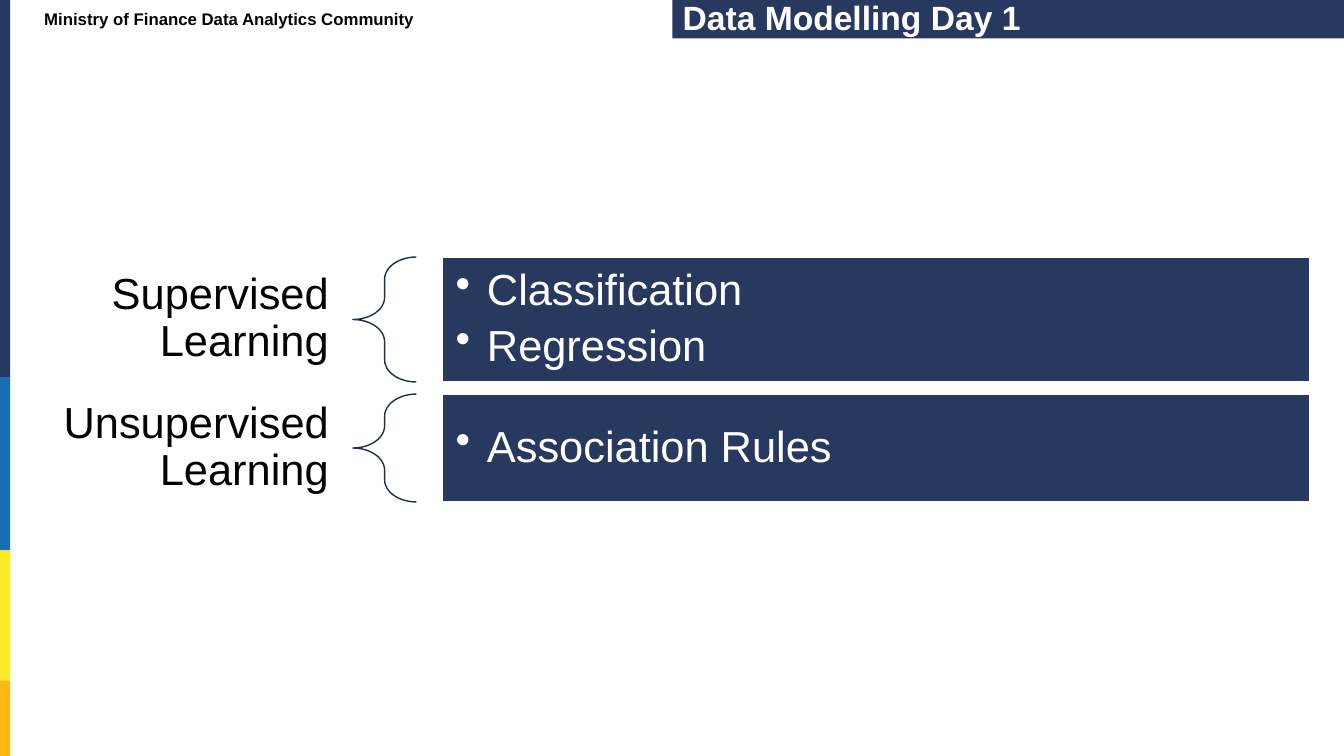
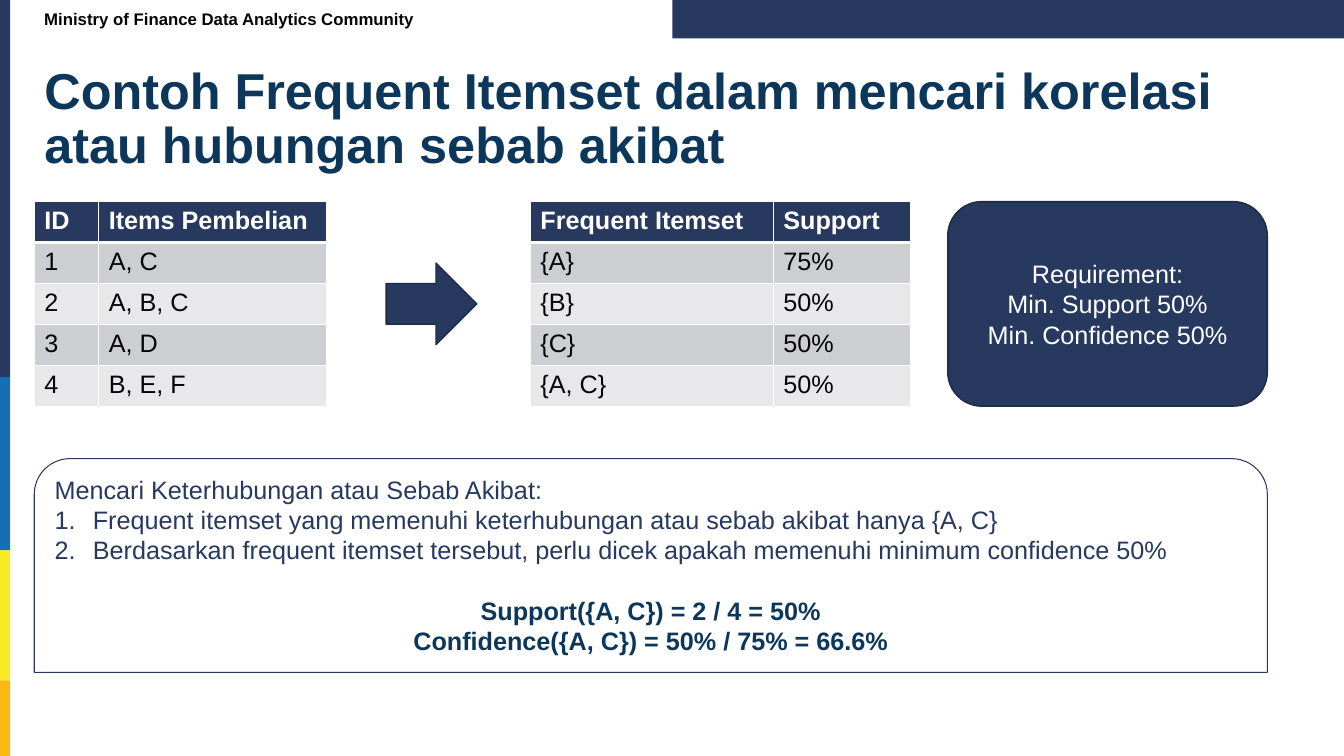
from dataclasses import dataclass
from typing import Optional

from lxml.etree import SubElement
from pptx import Presentation
from pptx.dml.color import RGBColor
from pptx.enum.shapes import MSO_SHAPE
from pptx.enum.text import MSO_ANCHOR, MSO_AUTO_SIZE, PP_ALIGN
from pptx.oxml.ns import qn
from pptx.util import Emu, Pt

EMU_PER_PX = 9144
FONT = "Arial"
COLORS = {
    "navy": "27395F",
    "blue": "176EB4",
    "yellow": "F7EB25",
    "orange": "FCB813",
    "white": "FFFFFF",
    "black": "040404",
    "heading": "0C375A",
    "outline": "1D2A46",
    "brace": "1F2E4C",
    "dark_row": "CDCED2",
    "light_row": "E8E8EA",
}
COMMUNITY = "Ministry of Finance Data Analytics Community"
BULLET = ("buChar", "char", "•")
NUMBER = ("buAutoNum", "type", "arabicPeriod")


@dataclass(frozen=True)
class Box:
    left: int
    top: int
    width: int
    height: int

    def emu(self) -> tuple:
        return tuple(px(n) for n in (self.left, self.top, self.width, self.height))


@dataclass(frozen=True)
class Style:
    size: int
    color: str
    bold: bool = False
    align: PP_ALIGN = PP_ALIGN.LEFT
    line_spacing: Optional[float] = None
    before: int = 0
    after: int = 0
    marker: Optional[tuple] = None
    indent: int = 0


@dataclass(frozen=True)
class Line:
    text: str
    style: Style


@dataclass(frozen=True)
class Band:
    color: str
    box: Box


@dataclass(frozen=True)
class Branch:
    label: str
    items: tuple
    label_top: int
    top: int
    height: int


@dataclass(frozen=True)
class Grid:
    box: Box
    columns: tuple
    rows: tuple


BANDS = (
    Band("navy", Box(0, 0, 10, 374)),
    Band("blue", Box(0, 374, 10, 172)),
    Band("yellow", Box(0, 546, 10, 129)),
    Band("orange", Box(0, 675, 10, 75)),
    Band("navy", Box(667, 0, 666, 38)),
)
BRANCHES = (
    Branch("Supervised Learning", ("Classification", "Regression"), 263, 255, 124),
    Branch("Unsupervised Learning", ("Association Rules",), 391, 391, 107),
)
GRIDS = (
    Grid(Box(34, 200, 290, 203), (64, 226), (
        ("ID", "Items Pembelian"),
        ("1", "A, C"),
        ("2", "A, B, C"),
        ("3", "A, D"),
        ("4", "B, E, F"),
    )),
    Grid(Box(526, 200, 377, 203), (241, 136), (
        ("Frequent Itemset", "Support"),
        ("{A}", "75%"),
        ("{B}", "50%"),
        ("{C}", "50%"),
        ("{A, C}", "50%"),
    )),
)

BAND_TITLE = Style(24, "white", True, line_spacing=0.9)
PAGE_TITLE = Style(36, "heading", True, line_spacing=0.9)
COMMUNITY_STYLE = Style(12, "black", True)
BRANCH_LABEL = Style(31, "black", align=PP_ALIGN.RIGHT, line_spacing=0.9)
BRANCH_ITEM = Style(31, "white", line_spacing=0.9, after=6, marker=BULLET, indent=31)
HEADER_CELL = Style(18, "white", True)
BODY_CELL = Style(18, "black")
REQUIREMENT = Style(18, "white", align=PP_ALIGN.CENTER)
NOTE = Style(18, "navy")
NOTE_STEP = Style(18, "navy", marker=NUMBER, indent=38)
RESULT_FIRST = Style(18, "heading", True, PP_ALIGN.CENTER, before=22)
RESULT = Style(18, "heading", True, PP_ALIGN.CENTER)


def px(length: int) -> Emu:
    return Emu(length * EMU_PER_PX)


def rgb(name: str) -> RGBColor:
    return RGBColor.from_string(COLORS[name])


def format_paragraph(para, style: Style) -> None:
    if style.marker:
        tag, attribute, value = style.marker
        properties = para._p.get_or_add_pPr()
        properties.set("marL", str(px(style.indent)))
        properties.set("indent", str(-px(style.indent)))
        SubElement(properties, qn(f"a:{tag}")).set(attribute, value)
    para.alignment = style.align
    if style.line_spacing:
        para.line_spacing = style.line_spacing
    para.space_before = Pt(style.before)
    para.space_after = Pt(style.after)
    para.font.name = FONT
    para.font.size = Pt(style.size)
    para.font.bold = style.bold
    para.font.color.rgb = rgb(style.color)


def write(frame, lines: list[Line], anchor=MSO_ANCHOR.MIDDLE, inset: tuple = (10, 5)) -> None:
    frame.word_wrap = True
    frame.auto_size = MSO_AUTO_SIZE.NONE
    frame.vertical_anchor = anchor
    frame.margin_left = frame.margin_right = px(inset[0])
    frame.margin_top = frame.margin_bottom = px(inset[1])
    for index, line in enumerate(lines):
        para = frame.paragraphs[0] if index == 0 else frame.add_paragraph()
        para.text = line.text
        format_paragraph(para, line.style)


def add_text(page, box: Box, line: Line, inset: tuple = (10, 5)) -> None:
    write(page.shapes.add_textbox(*box.emu()).text_frame, [line], inset=inset)


def add_figure(page, kind, box: Box, fill: Optional[str] = None,
               outline: Optional[str] = None, weight: float = 1):
    figure = page.shapes.add_shape(kind, *box.emu())
    figure.shadow.inherit = False
    if fill:
        figure.fill.solid()
        figure.fill.fore_color.rgb = rgb(fill)
    else:
        figure.fill.background()
    if outline:
        figure.line.color.rgb = rgb(outline)
        figure.line.width = Pt(weight)
    else:
        figure.line.fill.background()
    return figure


def move_bands_to_layout(page, layout) -> None:
    for number, band in enumerate(BANDS, start=101):
        element = add_figure(page, MSO_SHAPE.RECTANGLE, band.box, band.color).element
        element.nvSpPr.cNvPr.set("id", str(number))
        layout.shapes.element.append(element)


def start_page(deck, layout, title: Line, title_box: Box):
    page = deck.slides.add_slide(layout)
    heading = page.shapes.title
    heading.left, heading.top, heading.width, heading.height = title_box.emu()
    write(heading.text_frame, [title])
    add_text(page, Box(34, 7, 453, 23), Line(COMMUNITY, COMMUNITY_STYLE))
    return page


def add_branch(page, branch: Branch) -> None:
    add_text(page, Box(34, branch.label_top, 316, 107),
             Line(branch.label, BRANCH_LABEL), inset=(24, 9))
    brace = add_figure(page, MSO_SHAPE.LEFT_BRACE,
                       Box(350, branch.top, 63, branch.height), outline="brace")
    brace.adjustments[0] = 0.35
    panel = add_figure(page, MSO_SHAPE.RECTANGLE,
                       Box(439, branch.top, 860, branch.height), "navy", "white")
    write(panel.text_frame, [Line(item, BRANCH_ITEM) for item in branch.items], inset=(13, 13))


def set_borders(cell, top: int, bottom: int) -> None:
    properties = cell._tc.get_or_add_tcPr()
    for side, weight in {"L": 1, "R": 1, "T": top, "B": bottom}.items():
        border = SubElement(properties, qn(f"a:ln{side}"), w=str(Pt(weight)))
        fill = SubElement(border, qn("a:solidFill"))
        SubElement(fill, qn("a:srgbClr"), val=COLORS["white"])


def add_grid(page, grid: Grid) -> None:
    table = page.shapes.add_table(len(grid.rows), len(grid.columns), *grid.box.emu()).table
    table.horz_banding = False
    for column, width in zip(table.columns, grid.columns):
        column.width = px(width)
    for row_index, values in enumerate(grid.rows):
        is_header = row_index == 0
        fill = "navy" if is_header else ("light_row", "dark_row")[row_index % 2]
        for column_index, value in enumerate(values):
            cell = table.cell(row_index, column_index)
            set_borders(cell, 3 if row_index == 1 else 1, 3 if is_header else 1)
            cell.fill.solid()
            cell.fill.fore_color.rgb = rgb(fill)
            para = cell.text_frame.paragraphs[0]
            para.text = value
            format_paragraph(para, HEADER_CELL if is_header else BODY_CELL)


def build_learning_types(deck, layout) -> None:
    page = start_page(deck, layout, Line("Data Modelling Day 1", BAND_TITLE),
                      Box(667, 0, 666, 38))
    move_bands_to_layout(page, layout)
    for branch in BRANCHES:
        add_branch(page, branch)


def build_itemset_example(deck, layout) -> None:
    title = "Contoh Frequent Itemset dalam mencari korelasi atau hubungan sebab akibat"
    page = start_page(deck, layout, Line(title, PAGE_TITLE), Box(34, 53, 1265, 132))
    for grid in GRIDS:
        add_grid(page, grid)
    add_figure(page, MSO_SHAPE.RIGHT_ARROW, Box(383, 261, 90, 81), "navy", "outline")
    requirement = add_figure(page, MSO_SHAPE.ROUNDED_RECTANGLE, Box(940, 200, 317, 203),
                             "navy", "outline")
    write(requirement.text_frame, [
        Line(text, REQUIREMENT)
        for text in ("Requirement:", "Min. Support 50%", "Min. Confidence 50%")
    ])
    note = add_figure(page, MSO_SHAPE.ROUND_2_SAME_RECTANGLE, Box(34, 455, 1223, 212),
                      outline="navy", weight=0.75)
    write(note.text_frame, [
        Line("Mencari Keterhubungan atau Sebab Akibat:", NOTE),
        Line("Frequent itemset yang memenuhi keterhubungan atau sebab akibat hanya {A, C}",
             NOTE_STEP),
        Line("Berdasarkan frequent itemset tersebut, perlu dicek apakah memenuhi "
             "minimum confidence 50%", NOTE_STEP),
        Line("Support({A, C}) = 2 / 4 = 50%", RESULT_FIRST),
        Line("Confidence({A, C}) = 50% / 75% = 66.6%", RESULT),
    ], MSO_ANCHOR.TOP)


def main() -> None:
    deck = Presentation()
    deck.slide_width, deck.slide_height = px(1333), px(750)
    layout = deck.slide_layouts[5]
    build_learning_types(deck, layout)
    build_itemset_example(deck, layout)
    deck.save("out.pptx")


if __name__ == "__main__":
    main()
